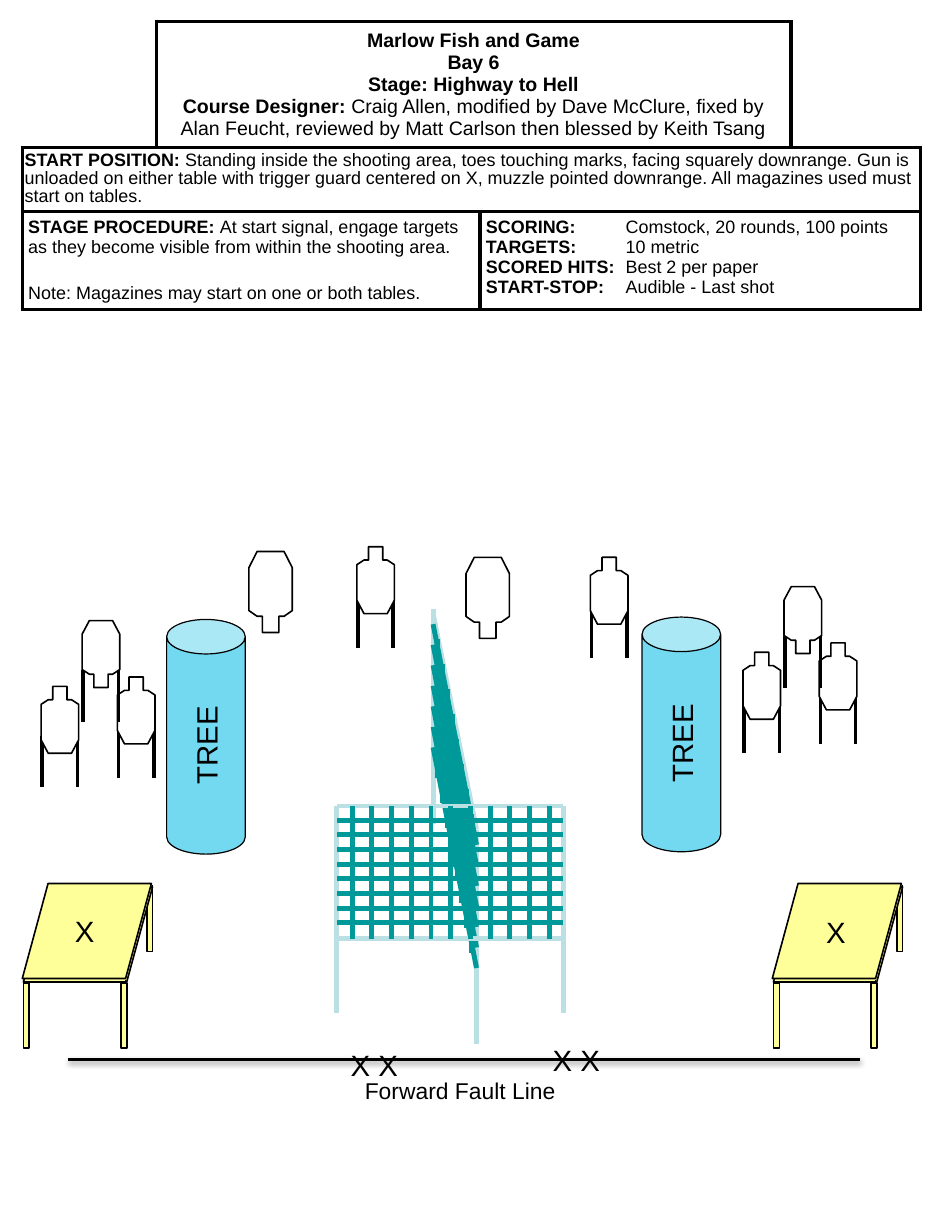
import pptx
import pptx.util
import pptx.dml.color
import pptx.enum.shapes
import pptx.enum.text
import pptx.oxml
import pptx.oxml.ns
from lxml import etree

Inches, Pt = pptx.util.Inches, pptx.util.Pt
ALIGN, ANCHOR = pptx.enum.text.PP_ALIGN, pptx.enum.text.MSO_ANCHOR
SHAPE = pptx.enum.shapes.MSO_SHAPE

COLORS = {"ink": "000000", "paper": "FFFFFF", "frame": "BBE0E3", "mesh": "009999",
          "tree": "73D9F1", "wood": "FFFF99"}

# Content: each paragraph is a list of (text, bold) runs
HEADER = [[("Marlow Fish and Game\nBay 6\nStage: Highway to Hell\nCourse Designer: ", True),
           ("Craig Allen, modified by Dave McClure, fixed by Alan Feucht, "
            "reviewed by Matt Carlson then blessed by Keith Tsang", False)]]
START = [[("START POSITION:", True),
          (" Standing inside the shooting area, toes touching marks, facing squarely downrange. "
           "Gun is unloaded on either table with trigger guard centered on X, muzzle pointed "
           "downrange. All magazines used must start on tables.", False)]]
PROCEDURE = [[("STAGE PROCEDURE: ", True),
              ("At start signal, engage targets as they become visible from within "
               "the shooting area.", False)],
             [("Note: Magazines may start on one or both tables.", False)]]
SCORING = [[(label, True), ("\t" + value, False)] for label, value in (
    ("SCORING:", "Comstock, 20 rounds, 100 points"), ("TARGETS:", "10 metric"),
    ("SCORED HITS:", "Best 2 per paper"), ("START-STOP:", "Audible - Last shot"))]

COLUMNS, ROWS = (1.14, 2.76, 2.65, 1.1), (1.08, 0.37, 0.83)
# first cell, last cell, paragraphs, size, side margin, top margin, paragraph format
BRIEFING = [
    ((0, 1), (0, 2), HEADER, 12, 0.05, 0.05, {"alignment": ALIGN.CENTER}),
    ((1, 0), (1, 3), START, 11, 0.02, 0.04, {"line_spacing": 0.9}),
    ((2, 0), (2, 1), PROCEDURE, 11, 0.05, 0.05, {}),
    ((2, 2), (2, 3), SCORING, 11, 0.05, 0.05, {}),
]
OPEN_SIDES = {(0, 0): "LT", (0, 3): "RT"}

TREES = [(5.47, 5.26), (1.42, 5.28)]
TABLES = [0.19, 6.58]
LABELS = [("X X", 2.89, 8.88, 0.74, 18), ("Forward Fault Line", 3.01, 9.13, 1.83, 14),
          ("X", 0.54, 7.73, 0.24, 18), ("X", 6.94, 7.74, 0.31, 18),
          ("X X", 4.61, 8.83, 0.74, 18)]
# left, top, upside down
HANGING_TARGETS = [(2.12, 4.7), (3.97, 4.75)]
STANDING_TARGETS = [(0.35, 5.85, False), (1, 5.77, False), (0.7, 5.29, True),
                    (6.33, 5.56, False), (6.98, 5.48, False), (6.68, 5, True),
                    (3.04, 4.66, False), (5.03, 4.75, False)]
TARGET_OUTLINE = [(0.31, 0), (0.69, 0), (0.69, 0.2), (0.81, 0.2), (1, 0.27), (1, 0.8),
                  (0.81, 1), (0.19, 1), (0, 0.8), (0, 0.27), (0.19, 0.2), (0.31, 0.2)]

deck = pptx.Presentation()
deck.slide_width, deck.slide_height = Inches(8), Inches(10.5)
stage = deck.slides.add_slide(deck.slide_layouts[6]).shapes


def rgb(name):
    return pptx.dml.color.RGBColor.from_string(COLORS[name])


def apply(target, values):
    for name, value in values.items():
        setattr(target, name, value)


def style_font(font, size, bold=False):
    apply(font, {"name": "Arial", "size": Pt(size), "bold": bold})
    font.color.rgb = rgb("ink")


def draw_line(parent, x1, y1, x2, y2, color="ink", width=1):
    line = parent.add_connector(pptx.enum.shapes.MSO_CONNECTOR.STRAIGHT,
                                Inches(x1), Inches(y1), Inches(x2), Inches(y2))
    line.line.color.rgb = rgb(color)
    line.line.width = Pt(width)
    return etree.SubElement(line._element.spPr, pptx.oxml.ns.qn("a:effectLst"))


def paint(shape, fill, width=1):
    shape.shadow.inherit = False
    shape.fill.solid()
    shape.fill.fore_color.rgb = rgb(fill)
    shape.line.color.rgb = rgb("ink")
    shape.line.width = Pt(width)
    return shape


def draw_outline(parent, points, fill):
    corners = [(Inches(x), Inches(y)) for x, y in points]
    builder = parent.build_freeform(*corners[0], scale=1.0)
    builder.add_line_segments(corners[1:], close=True)
    return paint(builder.convert_to_shape(), fill)


def draw_label(text, left, top, width, size):
    frame = stage.add_textbox(Inches(left), Inches(top), Inches(width),
                              Inches(0.4 if size > 14 else 0.34)).text_frame
    frame.word_wrap = len(text) < 4
    run = frame.paragraphs[0].add_run()
    run.text = text
    style_font(run.font, size)


def draw_target(parent, left, top, width, height, upside_down):
    body = draw_outline(parent, [(left + x * width, top + y * height)
                                 for x, y in TARGET_OUTLINE], "paper")
    body.rotation = 180 if upside_down else 0


def set_borders(cell, open_sides):
    for place, side in enumerate("LRTB"):
        fill = ("<a:noFill/>" if side in open_sides else
                '<a:solidFill><a:srgbClr val="%s"/></a:solidFill>' % COLORS["ink"])
        cell._tc.get_or_add_tcPr().insert(place, pptx.oxml.parse_xml(
            '<a:ln%s %s w="28575">%s</a:ln%s>' % (side, pptx.oxml.ns.nsdecls("a"), fill, side)))


def write_cell(cell, paragraphs, size, layout):
    frame = cell.text_frame
    for number, runs in enumerate(paragraphs):
        paragraph = frame.add_paragraph() if number else frame.paragraphs[0]
        apply(paragraph, layout)
        for text, bold in runs:
            for position, piece in enumerate(text.split("\n")):
                if position:
                    paragraph.add_line_break()
                run = paragraph.add_run()
                run.text = piece
                style_font(run.font, size, bold)


# Briefing table
briefing = stage.add_table(3, 4, Inches(0.19), Inches(0.18), Inches(sum(COLUMNS)),
                           Inches(sum(ROWS))).table
apply(briefing, {"first_row": False, "horz_banding": False})
for column, width in zip(briefing.columns, COLUMNS):
    column.width = Inches(width)
for row, height in zip(briefing.rows, ROWS):
    row.height = Inches(height)
for r in range(len(ROWS)):
    for c in range(len(COLUMNS)):
        cell = briefing.cell(r, c)
        cell.fill.solid()
        cell.fill.fore_color.rgb = rgb("paper")
        set_borders(cell, OPEN_SIDES.get((r, c), ""))
for first, last, paragraphs, size, side, top, layout in BRIEFING:
    cell = briefing.cell(*first)
    cell.merge(briefing.cell(*last))
    apply(cell, {"margin_left": Inches(side), "margin_right": Inches(side),
                 "margin_top": Inches(top), "margin_bottom": Inches(top),
                 "vertical_anchor": ANCHOR.MIDDLE if paragraphs is HEADER else ANCHOR.TOP})
    write_cell(cell, paragraphs, size, layout)
briefing.cell(2, 0).text_frame.paragraphs[1].space_before = Pt(16.5)
for paragraph in briefing.cell(2, 2).text_frame.paragraphs:
    paragraph._p.get_or_add_pPr().append(pptx.oxml.parse_xml(
        '<a:tabLst %s><a:tab pos="%d" algn="l"/></a:tabLst>'
        % (pptx.oxml.ns.nsdecls("a"), Inches(1.19))))

# Fence running downrange
side_fence = stage.add_group_shape().shapes
for ends in ((4.06, 8.9, 4.06, 7.07), (3.69, 6.37, 4.06, 8.25),
             (3.69, 5.23, 4.06, 7.07), (3.69, 5.19, 3.69, 7.02)):
    draw_line(side_fence, *ends, "frame", 3)
for i in range(8):
    x, top = 3.73 + i * 0.041, 5.45 + i * 0.213
    draw_line(side_fence, x, top + 1.18, x, top, "mesh", 3)
for i in range(7):
    top = 5.32 + i * 0.175
    draw_line(side_fence, 3.69, top, 4.06, top + 1.88, "mesh", 3)

# Trees
for left, top in TREES:
    tree = paint(stage.add_shape(SHAPE.CAN, Inches(left), Inches(top), Inches(0.67), Inches(2)),
                 "tree", 0.75)
    tree.adjustments[0] = 0.439
    apply(tree.text_frame, {"word_wrap": False, "vertical_anchor": ANCHOR.MIDDLE})
    tree.text_frame._txBody.bodyPr.set("vert", "vert270")
    run = tree.text_frame.paragraphs[0].add_run()
    run.text = "TREE"
    style_font(run.font, 18)

# Fault line with its soft shadow
effects = draw_line(stage, 0.58, 9.03, 7.33, 9.03, "ink", 2)
effects.append(pptx.oxml.parse_xml(
    '<a:outerShdw %s blurRad="%d" dist="%d" dir="5400000" rotWithShape="0"><a:srgbClr val="%s">'
    '<a:alpha val="38000"/></a:srgbClr></a:outerShdw>'
    % (pptx.oxml.ns.nsdecls("a"), Pt(3.1), Pt(1.6), COLORS["ink"])))

# Tables
for left in TABLES:
    table = stage.add_group_shape().shapes
    legs = [(1.06, 7.56), (0.84, 8.38), (0.01, 8.38)]
    for number, (dx, top) in enumerate(legs):
        paint(table.add_shape(SHAPE.RECTANGLE, Inches(left + dx), Inches(top),
                              Inches(0.05), Inches(0.55)), "wood")
        if number == 0:
            for x, y in ((left + 0.01, 7.56), (left, 7.53)):
                draw_outline(table, [(x + 0.22, y), (x + 1.1, y), (x + 0.88, y + 0.81),
                                     (x, y + 0.81)], "wood")
    for dx, y in ((0.01, 8.35), (0.88, 8.35), (1.11, 7.54)):
        draw_line(table, left + dx, y, left + dx, y + 0.02)

# Fence across the bay
front_fence = stage.add_group_shape().shapes
for x in (2.87, 4.8):
    draw_line(front_fence, x, 6.87, x, 8.63, "frame", 3)
for y in (6.87, 8):
    draw_line(front_fence, 4.8, y, 2.87, y, "frame", 3)
for i in range(8):
    y = 6.99 + i * 0.125
    draw_line(front_fence, 4.8, y, 2.87, y, "mesh", 3)
for i in range(11):
    x = 3 + i * 0.168
    draw_line(front_fence, x, 8, x, 6.87, "mesh", 3)

# Targets
for left, top in HANGING_TARGETS:
    draw_target(stage, left, top, 0.37, 0.69, True)
for left, top, upside_down in STANDING_TARGETS:
    target = stage.add_group_shape().shapes
    for x in (left + 0.01, left + 0.31):
        draw_line(target, x, top + 0.42, x, top + 0.86, "ink", 2.25)
    draw_target(target, left, top, 0.32, 0.57, upside_down)

# Marks and captions
for label in LABELS:
    draw_label(*label)

deck.save("out.pptx")
